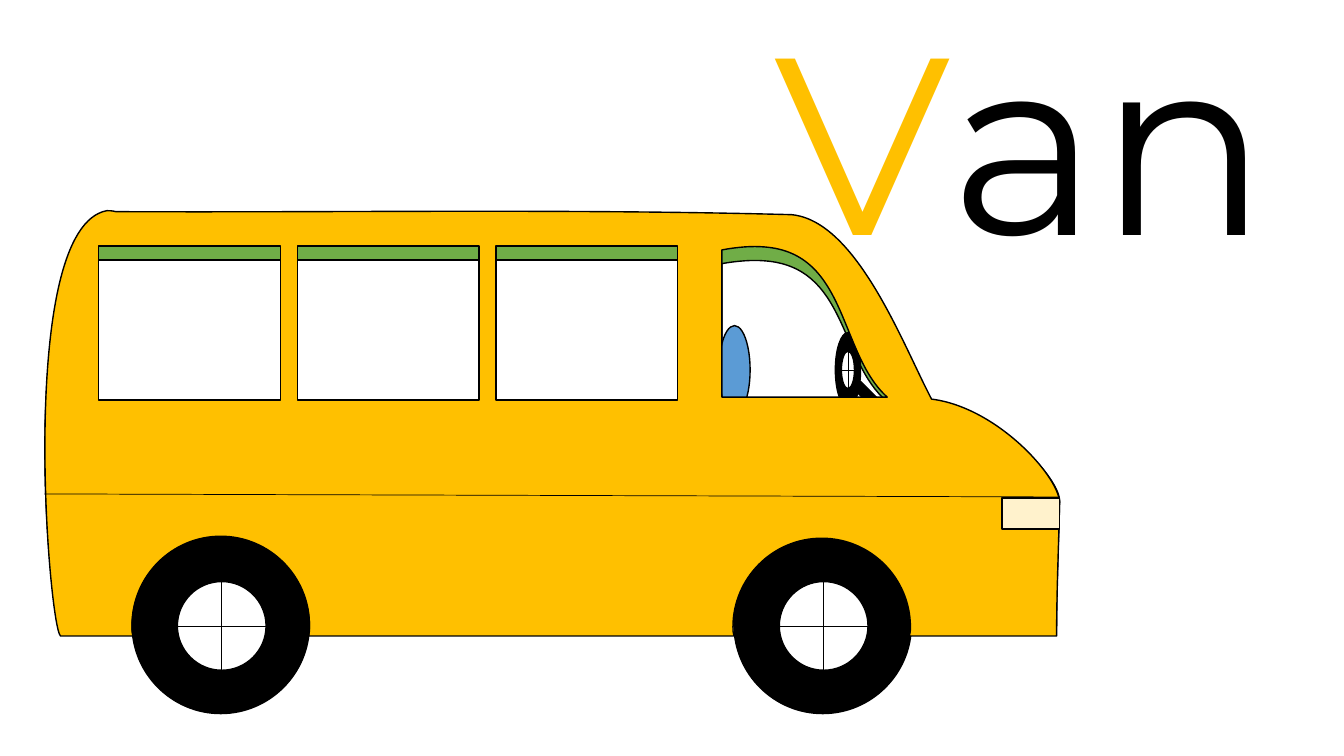
from lxml.etree import SubElement
from pptx import Presentation
from pptx.dml.color import RGBColor
from pptx.enum.shapes import MSO_CONNECTOR, MSO_SHAPE
from pptx.enum.text import MSO_ANCHOR, MSO_AUTO_SIZE, PP_ALIGN
from pptx.oxml.ns import qn
from pptx.util import Inches, Pt

BLACK, YELLOW, GREEN, BLUE, CREAM = "000000", "FFC000", "70AD47", "5B9BD5", "FFF2CC"
CIRCLE_HANDLE = 0.55
BODY_LEFT, BODY_WIDTH = 0.44, 10.06
BODY_TOP, BODY_HEIGHT = 2.09, 4.23
LINING_TOP, LINING_HEIGHT = 2.25, 3.97
WHEEL_SIZE, HUB_SIZE, WHEEL_Y, HUB_Y = 1.76, 0.88, 6.2, 6.21
REAR_WHEEL_X, FRONT_WHEEL_X = 2.19, 8.16
WINDOW_LEFT, WINDOW_TOP, WINDOW_WIDTH, WINDOW_HEIGHT = 0.98, 2.44, 1.8, 1.53
WINDOW_PITCH = 1.97


def color(hex_string):
    return RGBColor.from_string(hex_string)


def paint(shape, fill):
    shape.shadow.inherit = False
    shape.fill.solid()
    shape.fill.fore_color.rgb = color(fill)
    shape.line.color.rgb = color(BLACK)
    shape.line.width = Pt(1)
    return shape


def add_preset(group, kind, left, top, width, height, fill):
    box = [Inches(length) for length in (left, top, width, height)]
    return paint(group.shapes.add_shape(kind, *box), fill)


def add_line(group, start, end):
    points = [Inches(length) for length in (*start, *end)]
    line = group.shapes.add_connector(MSO_CONNECTOR.STRAIGHT, *points)
    line.line.color.rgb = color(BLACK)
    line.line.width = Pt(0.5)
    SubElement(line._element.spPr, qn("a:effectLst"))


def add_cross(group, center_x, center_y, width, height):
    add_line(group, (center_x - width / 2, center_y), (center_x + width / 2, center_y))
    add_line(group, (center_x, center_y - height / 2), (center_x, center_y + height / 2))


def add_outline(group, box, contours, fill):
    left, top, width, height = box
    right, bottom = left + width, top + height
    builder = group.shapes.build_freeform(Inches(left), Inches(top))
    corners = [(right, top), (right, bottom), (left, bottom)]
    builder.add_line_segments([(Inches(x), Inches(y)) for x, y in corners])
    shape = paint(builder.convert_to_shape(), fill)
    outline = next(shape._element.iter(qn("a:path")))
    for child in list(outline):
        outline.remove(child)
    for contour in contours:
        for index, segment in enumerate(contour):
            tag = "a:cubicBezTo" if len(segment) == 6 else "a:lnTo" if index else "a:moveTo"
            command = SubElement(outline, qn(tag))
            for x, y in zip(segment[::2], segment[1::2]):
                point = SubElement(command, qn("a:pt"))
                point.set("x", str(Inches(x - left)))
                point.set("y", str(Inches(y - top)))
        SubElement(outline, qn("a:close"))


def ellipse(x, y, width, height):
    a, b = width / 2, height / 2
    c, d = a * CIRCLE_HANDLE, b * CIRCLE_HANDLE
    return [
        (x, y - b),
        (x - c, y - b, x - a, y - d, x - a, y),
        (x - a, y + d, x - c, y + b, x, y + b),
        (x + c, y + b, x + a, y + d, x + a, y),
        (x + a, y - d, x + c, y - b, x, y - b),
    ]


def add_ring(group, outer, hole):
    x, y, width, height = outer
    box = (x - width / 2, y - height / 2, width, height)
    add_outline(group, box, [ellipse(*outer), ellipse(*hole)], BLACK)


def wheel_arch(left):
    middle, right = left + 0.88, left + 1.76
    return [
        (left + 0.01, 6.31),
        (left, 6.28, left, 6.25, left, 6.22),
        (left, 5.74, left + 0.39, 5.34, middle, 5.34),
        (middle + 0.49, 5.34, right, 5.74, right, 6.22),
        (right, 6.25, right, 6.28, right - 0.01, 6.31),
    ]


def side_window(column):
    left = WINDOW_LEFT + column * WINDOW_PITCH
    right, bottom = left + WINDOW_WIDTH, WINDOW_TOP + WINDOW_HEIGHT
    return [(right, WINDOW_TOP), (right, bottom), (left, bottom), (left, WINDOW_TOP)]


def body_contours():
    shell = [
        (1.06, 2.09),
        (0.16, 2.26, 0.48, 6.19, 0.6, 6.31),
        *wheel_arch(1.31),
        *wheel_arch(7.27),
        (10.48, 6.31),
        (10.48, 5.87, 10.5, 5.43, 10.51, 4.98),
        (10.49, 4.71, 9.88, 4.04, 9.24, 3.96),
        (8.96, 3.43, 8.5, 2.19, 7.85, 2.13),
        (5.62, 2.07, 3.38, 2.11, 1.15, 2.1),
        (1.11, 2.09, 1.08, 2.09, 1.06, 2.09),
    ]
    cab_window = [
        (7.58, 2.45),
        (8.41, 2.51, 8.32, 3.51, 8.8, 3.94),
        (7.16, 3.94),
        (7.16, 2.48),
        (7.32, 2.45, 7.46, 2.44, 7.58, 2.45),
    ]
    return [shell, *(side_window(column) for column in reversed(range(3))), cab_window]


def add_body(group, top, height, fill):
    ratio = height / BODY_HEIGHT
    contours = [
        [
            tuple(top + (n - BODY_TOP) * ratio if i % 2 else n for i, n in enumerate(segment))
            for segment in contour
        ]
        for contour in body_contours()
    ]
    add_outline(group, (BODY_LEFT, top, BODY_WIDTH, height), contours, fill)


def add_wheel(group, x):
    outer = (x, WHEEL_Y, WHEEL_SIZE, WHEEL_SIZE)
    add_ring(group, outer, (x + 0.01, HUB_Y, HUB_SIZE, HUB_SIZE))


def add_van(slide):
    van = slide.shapes.add_group_shape()
    add_body(van, LINING_TOP, LINING_HEIGHT, GREEN)
    column = add_preset(van, MSO_SHAPE.ROUNDED_RECTANGLE, 8.75, 3.68, 0.1, 0.88, BLACK)
    column.rotation = 315
    add_ring(van, (8.41, 3.67, 0.25, 0.74), (8.41, 3.67, 0.13, 0.37))
    add_preset(van, MSO_SHAPE.OVAL, 7.13, 3.23, 0.31, 0.88, BLUE)
    add_wheel(van, FRONT_WHEEL_X)
    add_body(van, BODY_TOP, BODY_HEIGHT, YELLOW)
    add_wheel(van, REAR_WHEEL_X)
    for x in (FRONT_WHEEL_X, REAR_WHEEL_X):
        add_cross(van, x + 0.01, HUB_Y, HUB_SIZE, HUB_SIZE)
    add_line(van, (10.51, 4.93), (0.44, 4.9))
    add_preset(van, MSO_SHAPE.RECTANGLE, 9.94, 4.94, 0.57, 0.31, CREAM)
    add_cross(van, 8.41, 3.67, 0.13, 0.37)


def add_title(slide):
    title = slide.shapes.title
    title.left, title.top = Inches(7.58), Inches(-0.21)
    title.width, title.height = Inches(6.92), Inches(3.13)
    frame = title.text_frame
    frame.word_wrap = True
    frame.auto_size = MSO_AUTO_SIZE.NONE
    frame.vertical_anchor = MSO_ANCHOR.TOP
    paragraph = frame.paragraphs[0]
    paragraph.alignment = PP_ALIGN.LEFT
    for text, fill in (("V", YELLOW), ("an", BLACK)):
        run = paragraph.add_run()
        run.text = text
        run.font.name = "Montserrat"
        run.font.size = Pt(180)
        run.font.color.rgb = color(fill)


def main():
    presentation = Presentation()
    presentation.slide_width = Inches(13.33)
    presentation.slide_height = Inches(7.5)
    slide = presentation.slides.add_slide(presentation.slide_layouts[5])
    add_title(slide)
    add_van(slide)
    presentation.save("out.pptx")


if __name__ == "__main__":
    main()
